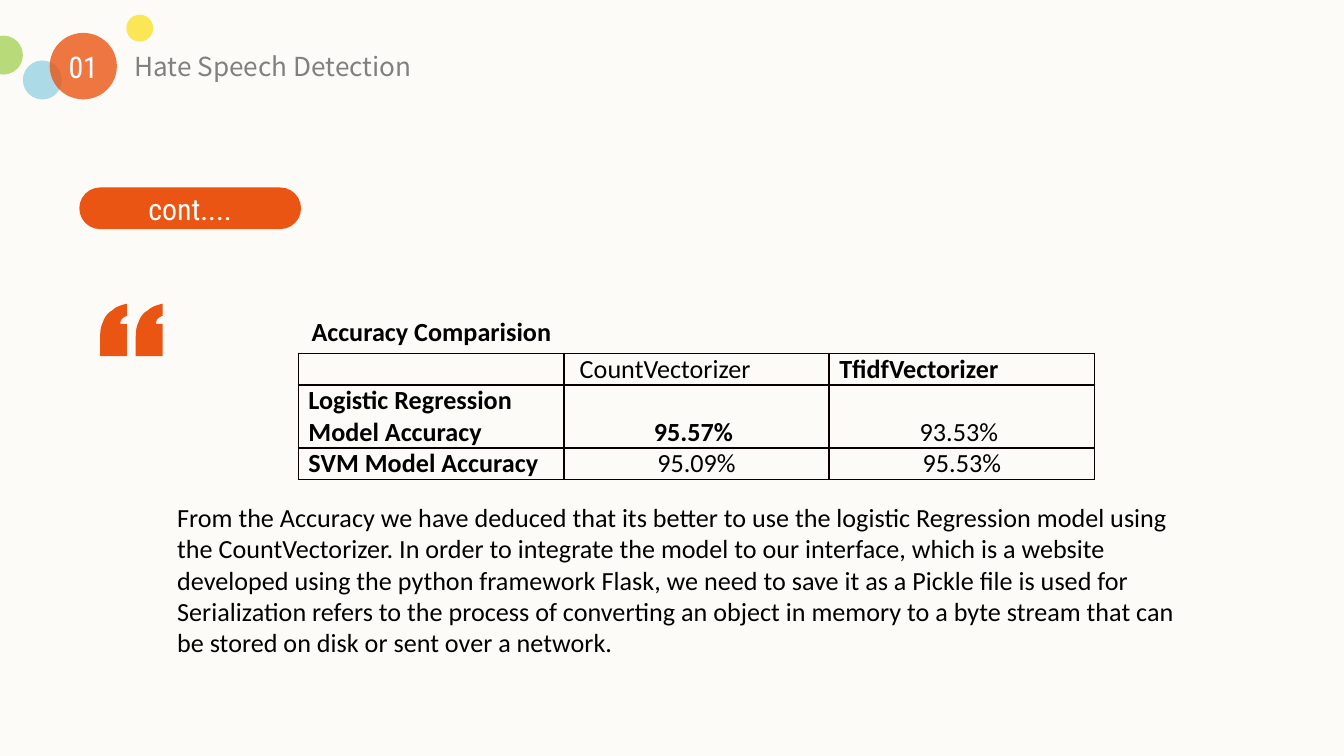
from dataclasses import dataclass

from lxml import etree
from pptx import Presentation
from pptx.dml.color import RGBColor
from pptx.enum.shapes import MSO_SHAPE
from pptx.enum.text import MSO_ANCHOR, MSO_AUTO_SIZE, PP_ALIGN
from pptx.oxml.ns import qn
from pptx.util import Pt

PX = 4572  # EMU in one px, 200 px to the inch
OVAL, PILL = MSO_SHAPE.OVAL, MSO_SHAPE.ROUNDED_RECTANGLE
LEFT, CENTER = PP_ALIGN.LEFT, PP_ALIGN.CENTER
MIDDLE, BOTTOM = MSO_ANCHOR.MIDDLE, MSO_ANCHOR.BOTTOM
FIT_SHAPE = MSO_AUTO_SIZE.SHAPE_TO_FIT_TEXT


@dataclass(frozen=True)
class Theme:
    paper: str = "FCFBF7"
    orange: str = "EA5514"
    yellow: str = "FBE22D"
    green: str = "A9D25A"
    blue: str = "98D2E3"
    white: str = "FFFFFF"
    grey: str = "808080"
    ink: str = "000000"
    border: str = "080000"
    body_font: str = "Calibri"
    title_font: str = "Noto Sans CJK SC"
    label_font: str = "Roboto Condensed"
    body_size: int = 14
    label_size: int = 16


T = Theme()
BODY = (T.body_font, T.body_size, T.ink)
TITLE = (T.title_font, T.body_size, T.grey)
LABEL = (T.label_font, T.label_size, T.white)


def emu(*lengths):
    return [round(v * PX) for v in lengths]


def write(tf, text, style, bold=False, align=LEFT):
    p = tf.paragraphs[0]
    p.text = text
    p.alignment = align
    name, size, color = style
    for r in p.runs:
        r.font.name, r.font.size, r.font.bold = name, Pt(size), bold
        r.font.color.rgb = RGBColor.from_string(color)


def add_text(s, box, text, style, bold=False, align=LEFT, inset=True):
    tf = s.shapes.add_textbox(*emu(*box)).text_frame
    tf.word_wrap = True
    tf.auto_size = FIT_SHAPE
    if not inset:
        tf.margin_left = tf.margin_right = tf.margin_top = tf.margin_bottom = 0
    write(tf, text, style, bold, align)


def paint(sp, color, alpha=100):
    sp.shadow.inherit = False
    sp.line.fill.background()
    sp.fill.solid()
    sp.fill.fore_color.rgb = RGBColor.from_string(color)
    if alpha < 100:
        clr = sp.fill._xPr.find(f".//{qn('a:srgbClr')}")
        etree.SubElement(clr, qn("a:alpha")).set("val", str(alpha * 1000))


def header(s, x, y, number, title):
    dots = [(188, 0, 40, 40, T.yellow), (-24, 31, 58, 58, T.green),
            (34, 68, 58, 58, T.blue), (74, 27, 100, 99, T.orange)]
    for dx, dy, w, h, color in dots:
        paint(s.shapes.add_shape(OVAL, *emu(x + dx, y + dy, w, h)), color, 80)
    add_text(s, (x + 88, y + 50, 72, 54), number, LABEL, align=CENTER, inset=False)
    add_text(s, (x + 200, y + 53, 608, 48), title, TITLE, inset=False)


def pill(s, box, text):
    sp = s.shapes.add_shape(PILL, *emu(*box))
    sp.adjustments[0] = 0.5
    paint(sp, T.orange)
    sp.text_frame.vertical_anchor = MIDDLE
    write(sp.text_frame, text, LABEL, align=CENTER)


def bezier(p0, p1, p2, p3, steps=6):
    """Points along a cubic curve, without its start."""
    points = []
    for i in range(1, steps + 1):
        t = i / steps
        u = 1 - t
        points.append(tuple(u**3 * a + 3 * u * u * t * b + 3 * u * t * t * c + t**3 * d
                            for a, b, c, d in zip(p0, p1, p2, p3)))
    return points


def quote_marks(s, x, y):
    mark = [(0, 78), (0, 56),
            *bezier((0, 56), (0, 44), (0, 36), (4, 28)),
            *bezier((4, 28), (6, 22), (10, 14), (18, 10)),
            *bezier((18, 10), (24, 4), (32, 2), (40, 0)),
            (40, 18), *bezier((40, 18), (34, 20), (30, 24), (30, 30)),
            (40, 30), (40, 78)]
    fb = s.shapes.build_freeform(*emu(x, y + 78))
    for dx in (0, 53):
        points = [emu(x + dx + px, y + py) for px, py in mark]
        if dx:
            fb.move_to(*points[0])
        fb.add_line_segments(points[1:], close=True)
    paint(fb.convert_to_shape(), T.orange)


def add_borders(cell):
    tc_pr = cell._tc.get_or_add_tcPr()
    for side in ("lnL", "lnR", "lnT", "lnB"):
        ln = etree.SubElement(tc_pr, qn(f"a:{side}"), w=str(Pt(1)))
        fill = etree.SubElement(ln, qn("a:solidFill"))
        etree.SubElement(fill, qn("a:srgbClr"), val=T.border)


def accuracy_table(s, x, y, caption):
    # Each cell: text, bold, alignment
    rows = [
        [("", False, LEFT), (" CountVectorizer", False, LEFT), ("TfidfVectorizer", True, LEFT)],
        [("Logistic Regression Model Accuracy", True, LEFT),
         ("95.57% ", True, CENTER), ("93.53% ", False, CENTER)],
        [("SVM Model Accuracy", True, LEFT),
         ("95.09%", False, CENTER), ("95.53%", False, CENTER)],
    ]
    heights = (46, 94, 46)
    col_width = 395
    add_text(s, (x, y, 1112, 68), caption, BODY, bold=True)
    frame = s.shapes.add_table(3, 3, *emu(x, y + 67, 3 * col_width, sum(heights)))
    table = frame.table
    table.first_row = table.horz_banding = False
    for col in table.columns:
        col.width = col_width * PX
    for row, h, cells in zip(table.rows, heights, rows):
        row.height = h * PX
        for cell, (text, bold, align) in zip(row.cells, cells):
            cell.margin_left = cell.margin_right = 15 * PX
            cell.margin_top = cell.margin_bottom = 0
            cell.vertical_anchor = BOTTOM
            add_borders(cell)
            cell.fill.background()
            write(cell.text_frame, text, BODY, bold, align)
            if not text:
                p = cell.text_frame.paragraphs[0]
                etree.SubElement(p._p, qn("a:endParaRPr"), sz=str(T.body_size * 100))


def main():
    prs = Presentation()
    prs.slide_width, prs.slide_height = emu(2000, 1125)
    s = prs.slides.add_slide(prs.slide_layouts[6])
    s.background.fill.solid()
    s.background.fill.fore_color.rgb = RGBColor.from_string(T.paper)

    quote_marks(s, 149, 452)
    header(s, 0, 22, "01", "Hate Speech Detection")
    pill(s, (118, 279, 330, 62), "cont....")
    accuracy_table(s, 444, 459, "Accuracy Comparision")
    add_text(s, (244, 736, 1528, 256),
             "From the Accuracy we have deduced that its better to use the logistic "
             "Regression model using the CountVectorizer. In order to integrate the model "
             "to our interface, which is a website developed using the python framework "
             "Flask, we need to save it as a Pickle file is used for Serialization refers "
             "to the process of converting an object in memory to a byte stream that can "
             "be stored on disk or sent over a network.", BODY)
    prs.save("out.pptx")


if __name__ == "__main__":
    main()
